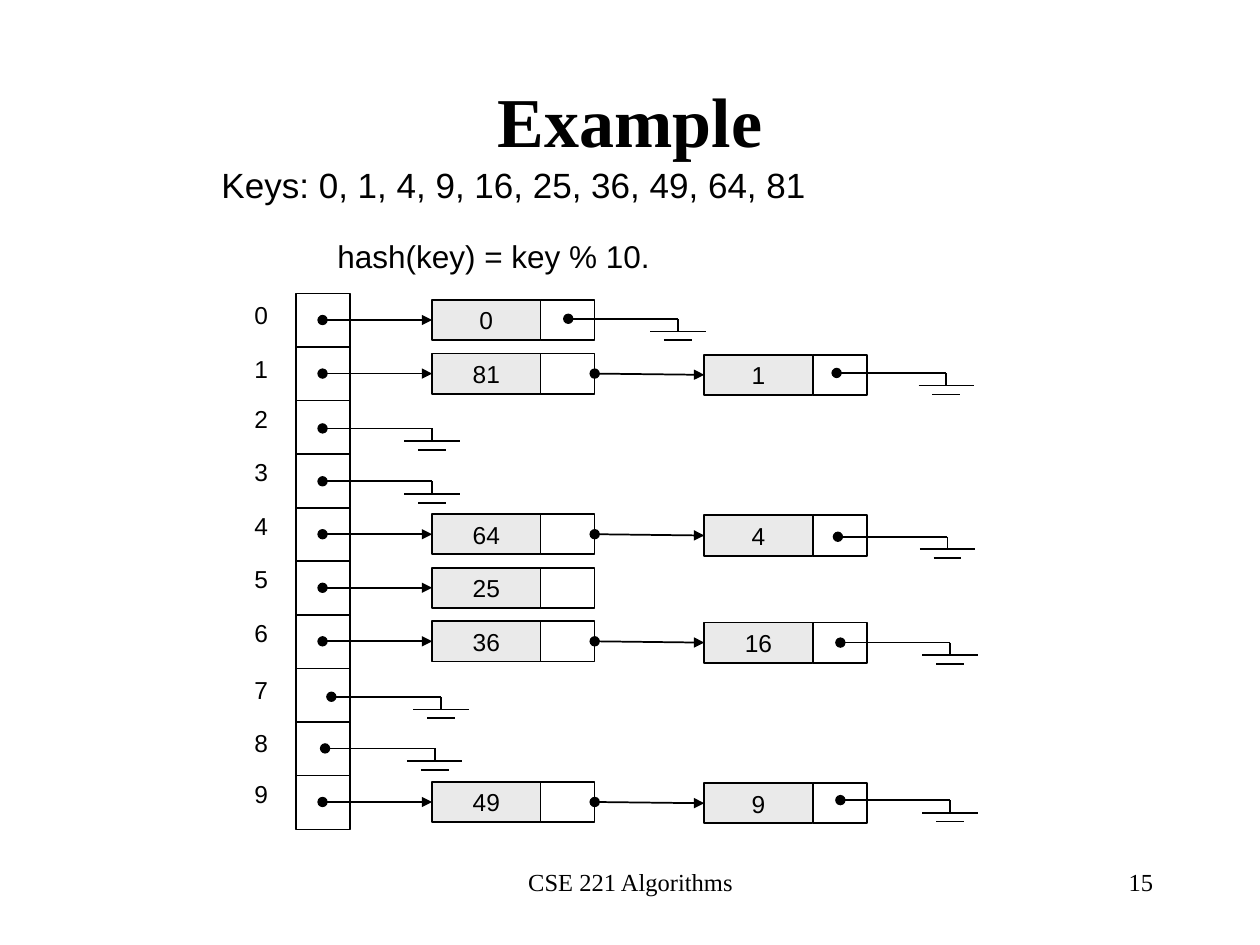
from lxml.etree import SubElement
from pptx import Presentation
from pptx.dml.color import RGBColor
from pptx.enum.shapes import MSO_CONNECTOR, MSO_SHAPE
from pptx.enum.text import MSO_ANCHOR, PP_ALIGN
from pptx.oxml.ns import qn
from pptx.util import Inches, Pt

COLORS = {"ink": "000000", "paper": "FFFFFF", "key": "EAEAEA"}
LEFT, RIGHT = 1, 3  # connection sites of a rectangle

SLOT_LEFT, SLOT_TOP, SLOT_SIZE, SLOT_PITCH = 2.35, 2.33, 0.43, 0.425
NODE_LEFTS = (3.43, 5.59)
KEY_WIDTH, NODE_HEIGHT = 0.86, 0.32

LABEL_TOPS = [2.33, 2.76, 3.16, 3.58, 4.01, 4.43, 4.86, 5.31, 5.73, 6.13]
CHAINS = {0: ["0"], 1: ["81", "1"], 4: ["64", "4"], 5: ["25"],
          6: ["36", "16"], 9: ["49", "9"]}
NULL_POINTERS = [(2.56, 3.4), (2.56, 3.82), (2.63, 5.53), (2.58, 5.94),
                 (4.51, 2.53), (6.64, 2.96), (6.65, 4.26), (6.67, 5.1),
                 (6.67, 6.35)]


def color(name):
    return RGBColor.from_string(COLORS[name])


class HashTableSlide:
    """Holds the text style and the slide that is being drawn."""

    def __init__(self, slide, font="Arial", size=14):
        self.slide = slide
        self.font = font
        self.size = size

    def set_text(self, shape, text, size=None, font=None, align=None, bold=False):
        shape.text_frame.text = text
        para = shape.text_frame.paragraphs[0]
        para.alignment = align
        span = para.runs[0]
        span.font.name = font or self.font
        span.font.size = Pt(size or self.size)
        span.font.bold = bold
        span.font.color.rgb = color("ink")

    def title(self, text, left, top, width, height):
        title = self.slide.shapes.title
        title.left, title.top = Inches(left), Inches(top)
        title.width, title.height = Inches(width), Inches(height)
        title.text_frame.vertical_anchor = MSO_ANCHOR.MIDDLE
        self.set_text(title, text, 40, "Times New Roman", PP_ALIGN.CENTER, True)

    def text(self, text, left, top, width, height, wrap=False, **style):
        box = self.slide.shapes.add_textbox(
            Inches(left), Inches(top), Inches(width), Inches(height))
        box.text_frame.word_wrap = wrap
        self.set_text(box, text, **style)

    def cell(self, left, top, width, height, fill="paper", text=None):
        cell = self.slide.shapes.add_shape(
            MSO_SHAPE.RECTANGLE,
            Inches(left), Inches(top), Inches(width), Inches(height))
        cell.shadow.inherit = False
        cell.fill.solid()
        cell.fill.fore_color.rgb = color(fill)
        cell.line.color.rgb = color("ink")
        cell.line.width = Pt(1)
        if text:
            cell.text_frame.word_wrap = False
            cell.text_frame.vertical_anchor = MSO_ANCHOR.MIDDLE
            self.set_text(cell, text, align=PP_ALIGN.CENTER)
        return cell

    def line(self, x1, y1, x2, y2, dot=False, arrow=False):
        line = self.slide.shapes.add_connector(
            MSO_CONNECTOR.STRAIGHT,
            Inches(x1), Inches(y1), Inches(x2), Inches(y2))
        line.line.color.rgb = color("ink")
        line.line.width = Pt(1)
        properties = line._element.spPr
        outline = properties.find(qn("a:ln"))
        if dot:
            SubElement(outline, qn("a:headEnd"), type="oval")
        if arrow:
            SubElement(outline, qn("a:tailEnd"), type="triangle")
        SubElement(properties, qn("a:effectLst"))
        return line

    def null_pointer(self, x, y):
        """Draw a dotted wire that ends in a ground symbol."""
        end = x + 0.87
        self.line(x, y, end, y, dot=True)
        self.line(end, y, end, y + 0.1)
        for drop, half in ((0.1, 0.22), (0.17, 0.11)):
            self.line(end - half, y + drop, end + half, y + drop)

    def chain(self, keys, top):
        """Draw the linked nodes of one slot, each reached by an arrow."""
        previous = None
        for index, (key, left) in enumerate(zip(keys, NODE_LEFTS)):
            node_top = top + 0.01 * index
            node = self.cell(left, node_top, KEY_WIDTH, NODE_HEIGHT, "key", key)
            pointer = self.cell(
                left + KEY_WIDTH, node_top, SLOT_SIZE, NODE_HEIGHT)
            middle = top + NODE_HEIGHT / 2
            arrow = self.line(
                left - 0.87, middle, left, middle, dot=True, arrow=True)
            if previous:
                arrow.begin_connect(previous, RIGHT)
            arrow.end_connect(node, LEFT)
            previous = pointer


def main():
    deck = Presentation()
    deck.slide_width, deck.slide_height = Inches(10), Inches(7.5)
    page = HashTableSlide(deck.slides.add_slide(deck.slide_layouts[5]))

    page.title("Example", 0.75, 0.5, 8.5, 0.9)
    page.text("CSE 221 Algorithms", 3.42, 6.83, 3.17, 0.5, wrap=True,
              font="Times New Roman", align=PP_ALIGN.CENTER)
    page.text("15", 7.17, 6.83, 2.08, 0.5, wrap=True,
              font="Times New Roman", align=PP_ALIGN.RIGHT)
    page.text("Keys: 0, 1, 4, 9, 16, 25, 36, 49, 64, 81",
              1.66, 1.25, 6.34, 0.44, wrap=True, size=20)
    page.text("hash(key) = key % 10.", 2.58, 1.83, 2.75, 0.4, size=18)

    for slot, label_top in enumerate(LABEL_TOPS):
        slot_top = SLOT_TOP + slot * SLOT_PITCH
        page.text(str(slot), 1.92, label_top, 0.31, 0.34)
        page.cell(SLOT_LEFT, slot_top, SLOT_SIZE, SLOT_SIZE)
    for slot, keys in CHAINS.items():
        page.chain(keys, SLOT_TOP + slot * SLOT_PITCH + 0.05)
    for x, y in NULL_POINTERS:
        page.null_pointer(x, y)

    deck.save("out.pptx")


if __name__ == "__main__":
    main()
